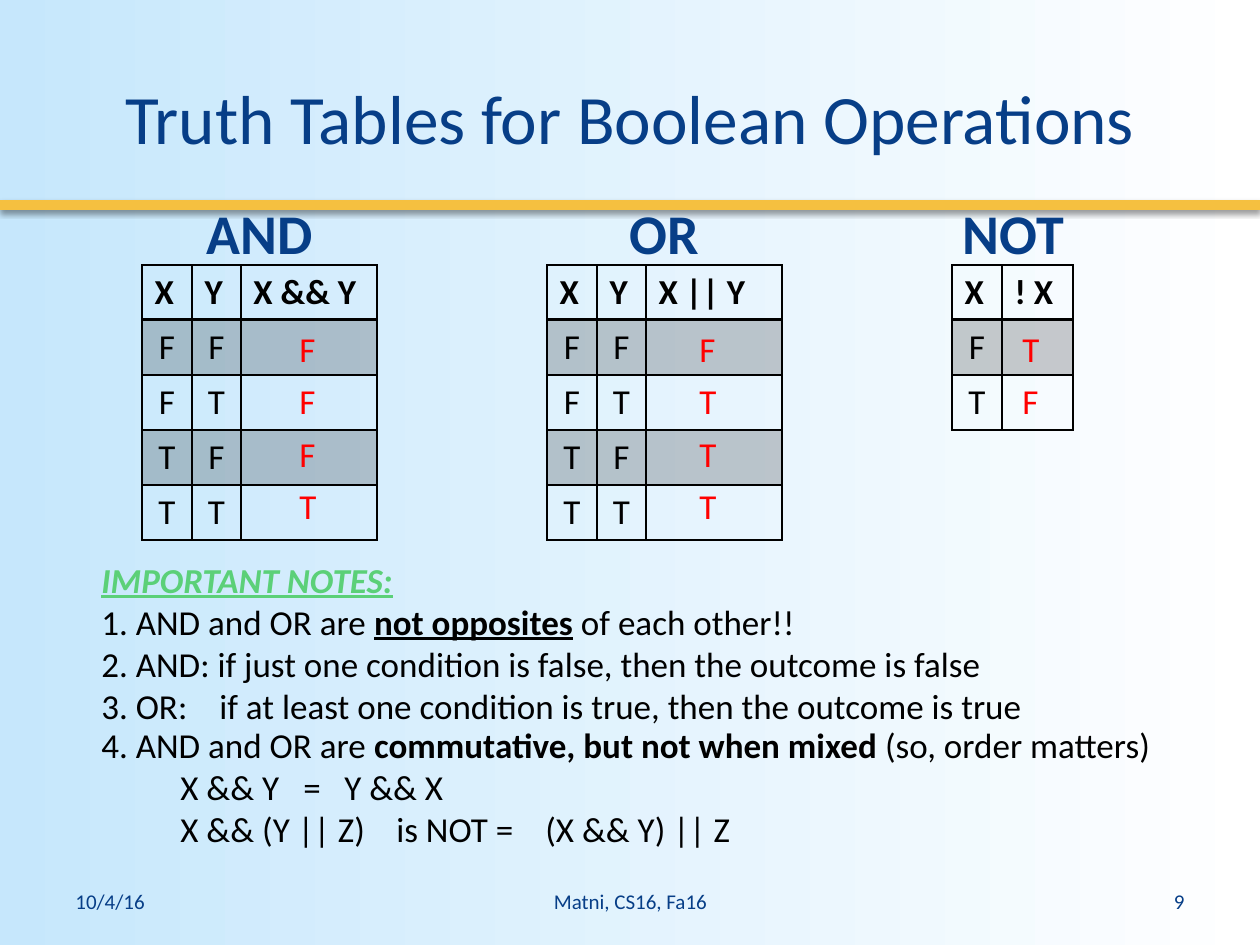
from lxml import etree
from pptx import Presentation
from pptx.dml.color import RGBColor
from pptx.enum.shapes import MSO_CONNECTOR
from pptx.enum.text import MSO_ANCHOR, PP_ALIGN
from pptx.oxml.ns import qn
from pptx.util import Emu, Pt

PX = 914400 // 126
LEFT, CENTER, RIGHT = PP_ALIGN.LEFT, PP_ALIGN.CENTER, PP_ALIGN.RIGHT
TOP, MIDDLE = MSO_ANCHOR.TOP, MSO_ANCHOR.MIDDLE
STRAIGHT = MSO_CONNECTOR.STRAIGHT
FONT = "Calibri"
COLORS = {
    "navy": "073E87", "gold": "F5C040", "black": "000000", "red": "FF0000",
    "green": "5BD078", "sky": "C6E7FC", "white": "FFFFFF",
}
TABLE_TOP, ROW_HEIGHT = 265, 55
PAIRS = ["FF", "FT", "TF", "TT"]
# table left, column widths, header, inputs, results, results left, heading, heading left
OPERATIONS = [
    (142, [50, 49, 136], ["X", "Y", "X && Y"], PAIRS, "FFFT", 287, "AND", 142),
    (547, [50, 49, 136], ["X", "Y", "X || Y"], PAIRS, "FTTT", 687, "OR", 547),
    (952, [50, 71], ["X", "! X"], ["F", "T"], "TF", 1010, "NOT", 896),
]
FOOTERS = [
    (63, 294, "10/4/16", LEFT),
    (431, 399, "Matni, CS16, Fa16", CENTER),
    (903, 294, "9", RIGHT),
]
# each line: spans of (text, style letters), tab stops
NOTES = [
    ([("IMPORTANT NOTES:", "biu")], []),
    ([("1. AND and OR are ", ""), ("not opposites", "bu"), (" of each other!!", "")], []),
    ([("2. AND: if just one condition is false, then the outcome is false", "")], []),
    ([("3. OR:\tif at least one condition is true, then the outcome is true", "")], [118]),
]
ORDER_NOTES = [
    ([("4. AND and OR are ", ""), ("commutative, but not when mixed ", "b"),
      ("(so, order matters)", "")], []),
    ([("\tX && Y\t=\tY && X", "")], [79, 202, 243]),
    ([("\tX && (Y || Z)\tis NOT =\t(X && Y) || Z", "")], [79, 295, 444]),
]


def px(length):
    """Turn pixels into EMU."""
    return Emu(length * PX)


def rgb(name):
    """Look up a named colour."""
    return RGBColor.from_string(COLORS[name])


def style_para(para, size, color, bold=False, align=LEFT):
    """Set the font and alignment of a whole paragraph."""
    para.alignment = align
    para.font.name = FONT
    para.font.size = Pt(size)
    para.font.bold = bold
    para.font.color.rgb = rgb(color)


def add_box(page, left, top, width, height, anchor=TOP):
    """Add a wrapping text box and return its text frame."""
    frame = page.shapes.add_textbox(px(left), px(top), px(width), px(height)).text_frame
    frame.word_wrap = True
    frame.vertical_anchor = anchor
    return frame


def add_label(page, place, text, size, color, bold=False, align=LEFT, anchor=TOP):
    """Add a one-line text box."""
    para = add_box(page, *place, anchor).paragraphs[0]
    para.text = text
    style_para(para, size, color, bold, align)


def next_para(frame, index):
    """Return the first paragraph of a frame, or a new one after it."""
    return frame.add_paragraph() if index else frame.paragraphs[0]


def add_results(page, left, letters):
    """Add the column of red outcomes over a table."""
    frame = add_box(page, left, 321, 59, 53 * len(letters))
    for index, letter in enumerate(letters):
        para = next_para(frame, index)
        para.text = letter
        para.space_after = Pt(6)
        style_para(para, 20, "red")


def add_notes(page, top, height, lines):
    """Add a block of note lines with styled spans and tab stops."""
    frame = add_box(page, 89, top, 1084, height)
    for index, (spans, stops) in enumerate(lines):
        para = next_para(frame, index)
        style_para(para, 20, "black")
        for text, style in spans:
            span = para.add_run()
            span.text = text
            if "b" in style:
                span.font.bold = True
            if "u" in style:
                span.font.underline = True
            if "i" in style:
                span.font.italic = True
                span.font.color.rgb = rgb("green")
        if stops:
            properties = para._p.get_or_add_pPr()
            tabs = etree.Element(qn("a:tabLst"))
            for stop in stops:
                etree.SubElement(tabs, qn("a:tab"), pos=str(px(stop)), algn="l")
            properties.find(qn("a:defRPr")).addprevious(tabs)


def add_borders(cell, top, bottom):
    """Draw black borders around a cell, with widths in points."""
    properties = cell._tc.get_or_add_tcPr()
    for side, width in (("L", 1), ("R", 1), ("T", top), ("B", bottom)):
        line = etree.SubElement(properties, qn(f"a:ln{side}"), w=str(Pt(width)))
        fill = etree.SubElement(line, qn("a:solidFill"))
        etree.SubElement(fill, qn("a:srgbClr"), val=COLORS["black"])


def shade(cell):
    """Fill a cell with black at 20 percent opacity."""
    cell.fill.solid()
    cell.fill.fore_color.rgb = rgb("black")
    color = cell._tc.tcPr.find(qn("a:solidFill")).find(qn("a:srgbClr"))
    etree.SubElement(color, qn("a:alpha"), val="20000")


def add_truth_table(page, left, widths, header, inputs):
    """Add a truth table whose outcome column is blank."""
    rows = [header] + [[*values, ""] for values in inputs]
    table = page.shapes.add_table(
        len(rows), len(widths), px(left), px(TABLE_TOP),
        px(sum(widths)), px(ROW_HEIGHT * len(rows))).table
    table.first_row = table.horz_banding = False
    for column, width in zip(table.columns, widths):
        column.width = px(width)
    for row_index, values in enumerate(rows):
        is_header = row_index == 0
        for column_index, value in enumerate(values):
            cell = table.cell(row_index, column_index)
            para = cell.text_frame.paragraphs[0]
            para.text = value
            style_para(para, 20, "black", is_header, LEFT if is_header else CENTER)
            add_borders(cell, 2 if row_index == 1 else 1, 2 if is_header else 1)
            if row_index % 2:
                shade(cell)
            else:
                cell.fill.background()


def add_rule(page):
    """Draw the gold rule with its soft shadow."""
    rule = page.shapes.add_connector(STRAIGHT, 0, px(205), px(1260), px(205))
    rule.line.color.rgb = rgb("gold")
    rule.line.width = Pt(6)
    effects = etree.SubElement(rule._element.spPr, qn("a:effectLst"))
    shadow = etree.SubElement(
        effects, qn("a:outerShdw"), blurRad=str(Pt(3.1)), dist=str(Pt(1.6)),
        dir="5400000", rotWithShape="0")
    color = etree.SubElement(shadow, qn("a:srgbClr"), val=COLORS["black"])
    etree.SubElement(color, qn("a:alpha"), val="38000")


def set_background(page):
    """Fill the page with a gradient from left to right."""
    fill = page.background.fill
    fill.gradient()
    fill.gradient_angle = 0
    for stop, name in zip(fill.gradient_stops, ("sky", "white")):
        stop.color.rgb = rgb(name)


def set_title(page, text):
    """Place and format the title."""
    title = page.shapes.title
    title.left, title.top, title.width, title.height = map(px, (63, 38, 1134, 157))
    title.text_frame.vertical_anchor = MIDDLE
    para = title.text_frame.paragraphs[0]
    para.text = text
    style_para(para, 39.6, "navy", align=CENTER)


def main():
    """Build the slide and save it."""
    deck = Presentation()
    deck.slide_width, deck.slide_height = px(1260), px(945)
    page = deck.slides.add_slide(deck.slide_layouts[5])
    set_background(page)
    add_rule(page)
    set_title(page, "Truth Tables for Boolean Operations")
    for left, width, text, align in FOOTERS:
        add_label(page, (left, 876, width, 50), text, 12, "navy", align=align, anchor=MIDDLE)
    for left, widths, header, inputs, results, results_left, name, name_left in OPERATIONS:
        add_truth_table(page, left, widths, header, inputs)
        add_results(page, results_left, results)
        add_label(page, (name_left, 192, 235, 81), name, 32, "navy", True, CENTER)
    add_notes(page, 717, 140, ORDER_NOTES)
    add_notes(page, 552, 183, NOTES)
    deck.save("out.pptx")


if __name__ == "__main__":
    main()
